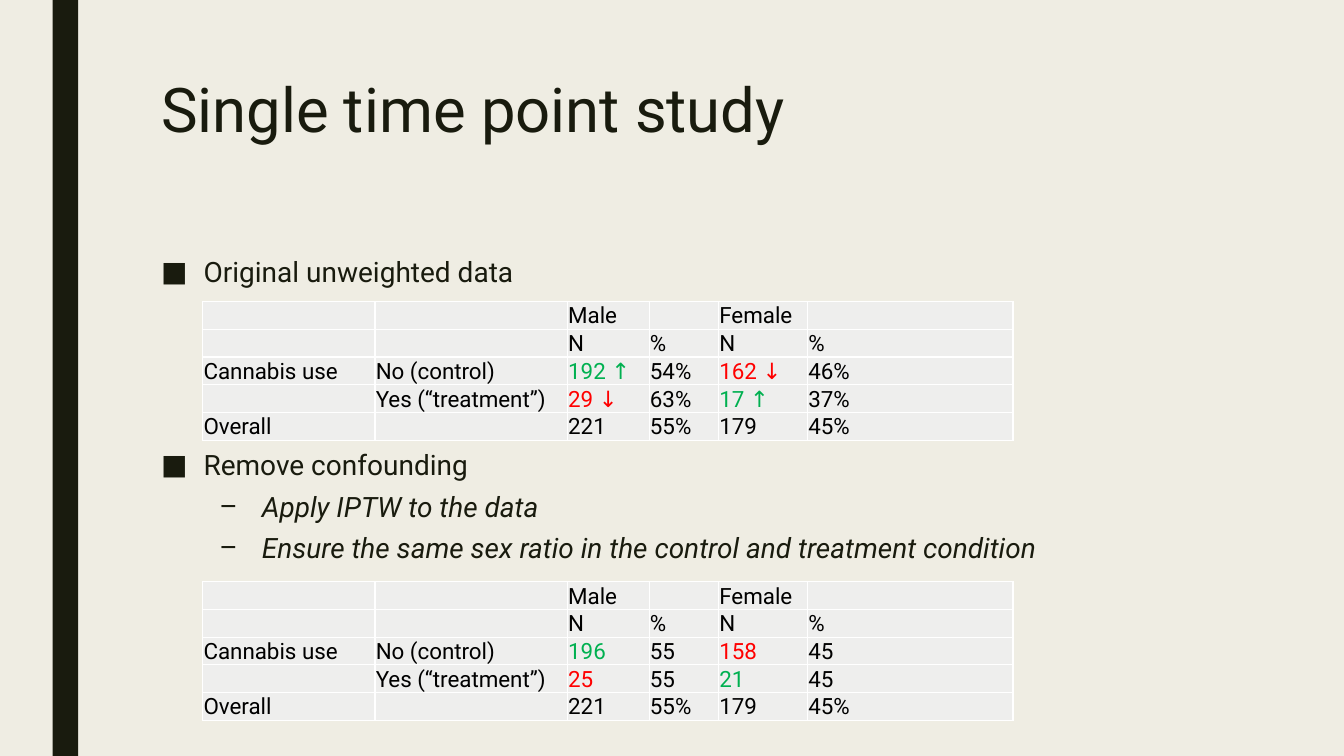
from dataclasses import dataclass

from lxml import etree
from pptx import Presentation
from pptx.dml.color import RGBColor
from pptx.enum.shapes import MSO_SHAPE
from pptx.enum.text import MSO_ANCHOR
from pptx.oxml.ns import qn
from pptx.util import Cm, Pt

RECT = MSO_SHAPE.RECTANGLE
TOP, BOTTOM = MSO_ANCHOR.TOP, MSO_ANCHOR.BOTTOM


@dataclass(frozen=True)
class Theme:
    font: str = "Roboto"
    background: str = "EFEDE3"
    ink: str = "191B0E"
    cell: str = "EEEEED"
    cell_text: str = "000000"
    border: str = "FFFFFF"
    up: str = "00B050"
    down: str = "FF0000"
    title_size: int = 44
    body_size: int = 20
    table_size: int = 16


THEME = Theme()
BODY_LEFT, BODY_WIDTH = 3.81, 26.67
TABLE_LEFT, ROW_HEIGHT = 5.11, 0.68
COLUMN_WIDTHS = (4.34, 4.85, 2.06, 1.75, 2.24, 5.18)
LEVELS = (
    {"mark": "■", "left": 1.07, "before": 10, "italic": False},
    {"mark": "–", "left": 2.54, "before": 5, "italic": True},
)
HANGING = 1.07
HEADER = (
    ("", "", "Male", "", "Female", ""),
    ("", "", "N", "%", "N", "%"),
)
OVERALL = ("Overall", "", "221", "55%", "179", "45%")
HIGHLIGHTS = {
    (2, 2): THEME.up,
    (2, 4): THEME.down,
    (3, 2): THEME.down,
    (3, 4): THEME.up,
}


def rgb(value):
    return RGBColor.from_string(value)


def add_run(p, text, size, color, italic=False):
    r = p.add_run()
    r.text = text
    r.font.name = THEME.font
    r.font.size = Pt(size)
    r.font.italic = italic
    r.font.color.rgb = rgb(color)


def add_text_frame(s, top, height):
    box = s.shapes.add_textbox(Cm(BODY_LEFT), Cm(top), Cm(BODY_WIDTH), Cm(height))
    tf = box.text_frame
    tf.word_wrap = True
    tf.vertical_anchor = TOP
    return tf


def add_bar(s, left, width, height):
    sp = s.shapes.add_shape(RECT, Cm(left), 0, Cm(width), height)
    sp.shadow.inherit = False
    sp.fill.solid()
    sp.fill.fore_color.rgb = rgb(THEME.ink)
    sp.line.fill.background()


def add_title(s, text):
    p = add_text_frame(s, 1.9, 4.1).paragraphs[0]
    p.line_spacing = 0.89
    add_run(p, text, THEME.title_size, THEME.ink)


def set_bullet(p, mark, left):
    pPr = p._p.get_or_add_pPr()
    pPr.set("marL", str(Cm(left)))
    pPr.set("indent", str(-Cm(HANGING)))
    etree.SubElement(pPr, qn("a:buFont"), typeface=THEME.font)
    etree.SubElement(pPr, qn("a:buChar"), char=mark)


def add_bullets(s, top, height, items):
    tf = add_text_frame(s, top, height)
    for i, (level, text) in enumerate(items):
        style = LEVELS[level]
        p = tf.add_paragraph() if i else tf.paragraphs[0]
        p.level = level
        p.line_spacing = 0.94
        p.space_before = Pt(style["before"] if i else 0)
        p.space_after = Pt(2)
        set_bullet(p, style["mark"], style["left"])
        add_run(p, text, THEME.body_size, THEME.ink, style["italic"])


def set_borders(cell):
    tcPr = cell._tc.get_or_add_tcPr()
    for i, side in enumerate(("lnL", "lnR", "lnT", "lnB")):
        ln = etree.Element(qn(f"a:{side}"), w=str(Pt(1)))
        fill = etree.SubElement(ln, qn("a:solidFill"))
        etree.SubElement(fill, qn("a:srgbClr"), val=THEME.border)
        tcPr.insert(i, ln)


def fill_cell(cell, text, color):
    cell.fill.solid()
    cell.fill.fore_color.rgb = rgb(THEME.cell)
    cell.vertical_anchor = BOTTOM
    cell.margin_left = cell.margin_right = cell.margin_top = Cm(0.02)
    cell.margin_bottom = 0
    set_borders(cell)
    p = cell.text_frame.paragraphs[0]
    if text:
        add_run(p, text, THEME.table_size, color)
    else:
        etree.SubElement(p._p, qn("a:endParaRPr"), sz=str(THEME.table_size * 100))


def add_data_table(s, top, control, treatment):
    rows = (
        *HEADER,
        ("Cannabis use", "No (control)", *control),
        ("", "Yes (“treatment”)", *treatment),
        OVERALL,
    )
    table = s.shapes.add_table(
        len(rows), len(COLUMN_WIDTHS), Cm(TABLE_LEFT), Cm(top),
        Cm(sum(COLUMN_WIDTHS)), Cm(ROW_HEIGHT * len(rows)),
    ).table
    table.first_row = table.horz_banding = False
    for column, width in zip(table.columns, COLUMN_WIDTHS):
        column.width = Cm(width)
    for i, row in enumerate(rows):
        table.rows[i].height = Cm(ROW_HEIGHT)
        for j, text in enumerate(row):
            color = HIGHLIGHTS.get((i, j), THEME.cell_text)
            fill_cell(table.cell(i, j), text, color)


def main():
    prs = Presentation()
    prs.slide_width, prs.slide_height = Cm(33.87), Cm(19.05)
    s = prs.slides.add_slide(prs.slide_layouts[6])
    s.background.fill.solid()
    s.background.fill.fore_color.rgb = rgb(THEME.background)

    add_bar(s, 1.33, 0.64, prs.slide_height)
    add_title(s, "Single time point study")
    add_bullets(s, 6.35, 1.1, [(0, "Original unweighted data")])
    add_data_table(
        s, 7.6,
        control=("192 ↑", "54%", "162 ↓", "46%"),
        treatment=("29 ↓", "63%", "17 ↑", "37%"),
    )
    add_bullets(s, 11.23, 3.2, [
        (0, "Remove confounding"),
        (1, "Apply IPTW to the data"),
        (1, "Ensure the same sex ratio in the control and treatment condition"),
    ])
    add_data_table(
        s, 14.66,
        control=("196", "55", "158", "45"),
        treatment=("25", "55", "21", "45"),
    )
    prs.save("out.pptx")


if __name__ == "__main__":
    main()
